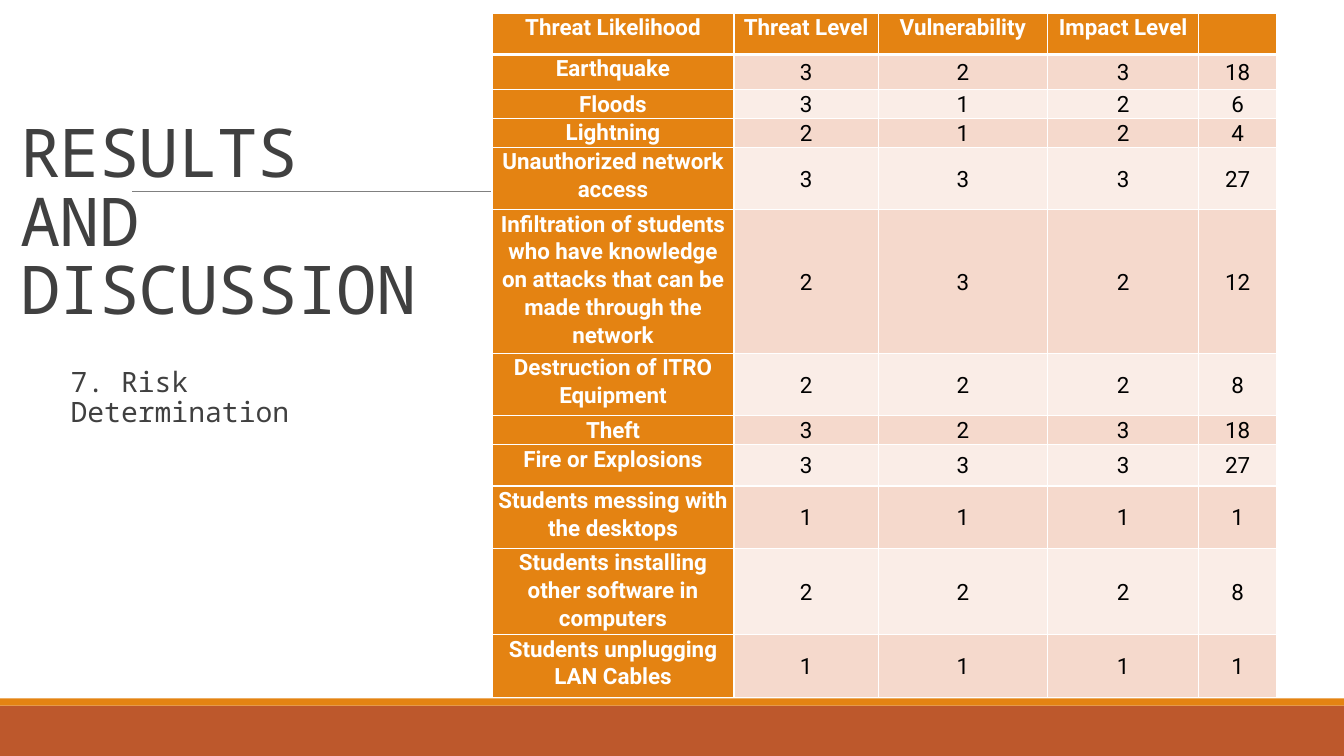
from lxml import etree
from pptx import Presentation
from pptx.dml.color import RGBColor
from pptx.enum.shapes import MSO_CONNECTOR as Connector, MSO_SHAPE as Shape
from pptx.enum.text import MSO_ANCHOR as Anchor, PP_ALIGN as Align
from pptx.oxml.ns import qn
from pptx.util import Inches, Pt

MONO, SANS = "Noto Sans Mono", "Roboto"
ORANGE, RUST, WHITE, BLACK = "E48312", "BD582C", "FFFFFF", "000000"
TEXT_GRAY, LINE_GRAY = "404040", "808080"
BANDS = ("F5D9CC", "FAEDE7")

HEADERS = ("Threat Likelihood", "Threat Level", "Vulnerability", "Impact Level", "")
# Threat, threat level, vulnerability, impact level
THREATS = (
    ("Earthquake", 3, 2, 3),
    ("Floods", 3, 1, 2),
    ("Lightning", 2, 1, 2),
    ("Unauthorized network access", 3, 3, 3),
    ("Infiltration of students who have knowledge on attacks "
     "that can be made through the network", 2, 3, 2),
    ("Destruction of ITRO Equipment", 2, 2, 2),
    ("Theft", 3, 2, 3),
    ("Fire or Explosions", 3, 3, 3),
    ("Students messing with the desktops", 1, 1, 1),
    ("Students installing other software in computers", 2, 2, 2),
    ("Students unplugging LAN Cables", 1, 1, 1),
)
COLUMN_WIDTHS = (2.4, 1.43, 1.68, 1.5, 0.77)
ROW_HEIGHTS = (0.41, 0.35, 0.21, 0.21, 0.62, 1.11, 0.62, 0.21, 0.41, 0.62, 0.65, 0.62)


def rgb(value):
    return RGBColor.from_string(value)


def add_run(paragraph, text, size, font, color, bold=False):
    run = paragraph.add_run()
    run.text = text
    run.font.size = Pt(size)
    run.font.name = font
    run.font.bold = bold
    run.font.color.rgb = rgb(color)
    return run


def add_bar(slide, left, top, width, height, color):
    bar = slide.shapes.add_shape(
        Shape.RECTANGLE, Inches(left), Inches(top), Inches(width), Inches(height))
    bar.shadow.inherit = False
    bar.fill.solid()
    bar.fill.fore_color.rgb = rgb(color)
    bar.line.fill.background()


def add_backdrop(slide, width, height):
    # Footer bars
    add_bar(slide, 0, height - 0.5, width, 0.5, RUST)
    add_bar(slide, 0, height - 0.57, width, 0.07, ORANGE)
    # Rule that runs behind the table
    rule = slide.shapes.add_connector(
        Connector.STRAIGHT, Inches(1.31), Inches(1.9), Inches(12.21), Inches(1.9))
    rule.line.color.rgb = rgb(LINE_GRAY)
    rule.line.width = Pt(0.5)
    etree.SubElement(rule._element.spPr, qn("a:effectLst"))


def add_text_box(slide, left, top, width, height):
    box = slide.shapes.add_textbox(
        Inches(left), Inches(top), Inches(width), Inches(height))
    box.text_frame.word_wrap = True
    return box.text_frame


def add_title(slide, left, top, width, height):
    frame = add_text_box(slide, left, top, width, height)
    frame.vertical_anchor = Anchor.BOTTOM
    paragraph = frame.paragraphs[0]
    paragraph.line_spacing = 0.85
    run = add_run(paragraph, "RESULTS AND DISCUSSION", 48, MONO, TEXT_GRAY)
    run._r.get_or_add_rPr().set("spc", "-50")


def add_subtitle(slide, left, top, width, height):
    frame = add_text_box(slide, left, top, width, height)
    frame.margin_left = frame.margin_right = 0
    paragraph = frame.paragraphs[0]
    paragraph.line_spacing = 0.9
    paragraph.space_before = Pt(12)
    paragraph.space_after = Pt(2)
    add_run(paragraph, "7. Risk Determination", 20, MONO, TEXT_GRAY)


def set_borders(cell, top, bottom):
    properties = cell._tc.get_or_add_tcPr()
    for side, points in (("L", 1), ("R", 1), ("T", top), ("B", bottom)):
        line = etree.SubElement(properties, qn(f"a:ln{side}"), w=str(Pt(points)))
        fill = etree.SubElement(line, qn("a:solidFill"))
        etree.SubElement(fill, qn("a:srgbClr"), val=WHITE)


def fill_cell(cell, text, row, column):
    is_label = row == 0 or column == 0
    set_borders(cell, 3 if row == 1 else 1, 3 if row == 0 else 1)
    cell.fill.solid()
    cell.fill.fore_color.rgb = rgb(ORANGE if is_label else BANDS[(row - 1) % 2])
    if not text:
        return
    cell.margin_left = cell.margin_right = Inches(0.05)
    cell.margin_top = cell.margin_bottom = 0
    cell.vertical_anchor = Anchor.TOP if is_label else Anchor.MIDDLE
    paragraph = cell.text_frame.paragraphs[0]
    paragraph.alignment = Align.CENTER
    paragraph.line_spacing = 1.07
    paragraph.space_after = Pt(8)
    add_run(paragraph, text, 16, SANS, WHITE if is_label else BLACK, is_label)


def add_risk_table(slide, left, top, width, height):
    # The last column is the product of the three levels
    rows = [HEADERS] + [
        (name, threat, weakness, impact, threat * weakness * impact)
        for name, threat, weakness, impact in THREATS]
    frame = slide.shapes.add_table(
        len(rows), len(HEADERS), Inches(left), Inches(top), Inches(width), Inches(height))
    table = frame.table
    table.horz_banding = False
    for column, column_width in zip(table.columns, COLUMN_WIDTHS):
        column.width = Inches(column_width)
    for row, row_height in zip(table.rows, ROW_HEIGHTS):
        row.height = Inches(row_height)
    frame.height = Inches(height)
    for row, values in enumerate(rows):
        for column, value in enumerate(values):
            fill_cell(table.cell(row, column), str(value), row, column)


def main():
    presentation = Presentation()
    presentation.slide_width = Inches(13.33)
    presentation.slide_height = Inches(7.5)
    slide = presentation.slides.add_slide(presentation.slide_layouts[6])
    add_backdrop(slide, 13.33, 7.5)
    add_title(slide, 0.1, 0.24, 4.51, 3.07)
    add_subtitle(slide, 0.7, 3.6, 3.31, 1.7)
    add_risk_table(slide, 4.88, 0.13, 7.79, 7.08)
    presentation.save("out.pptx")


if __name__ == "__main__":
    main()
